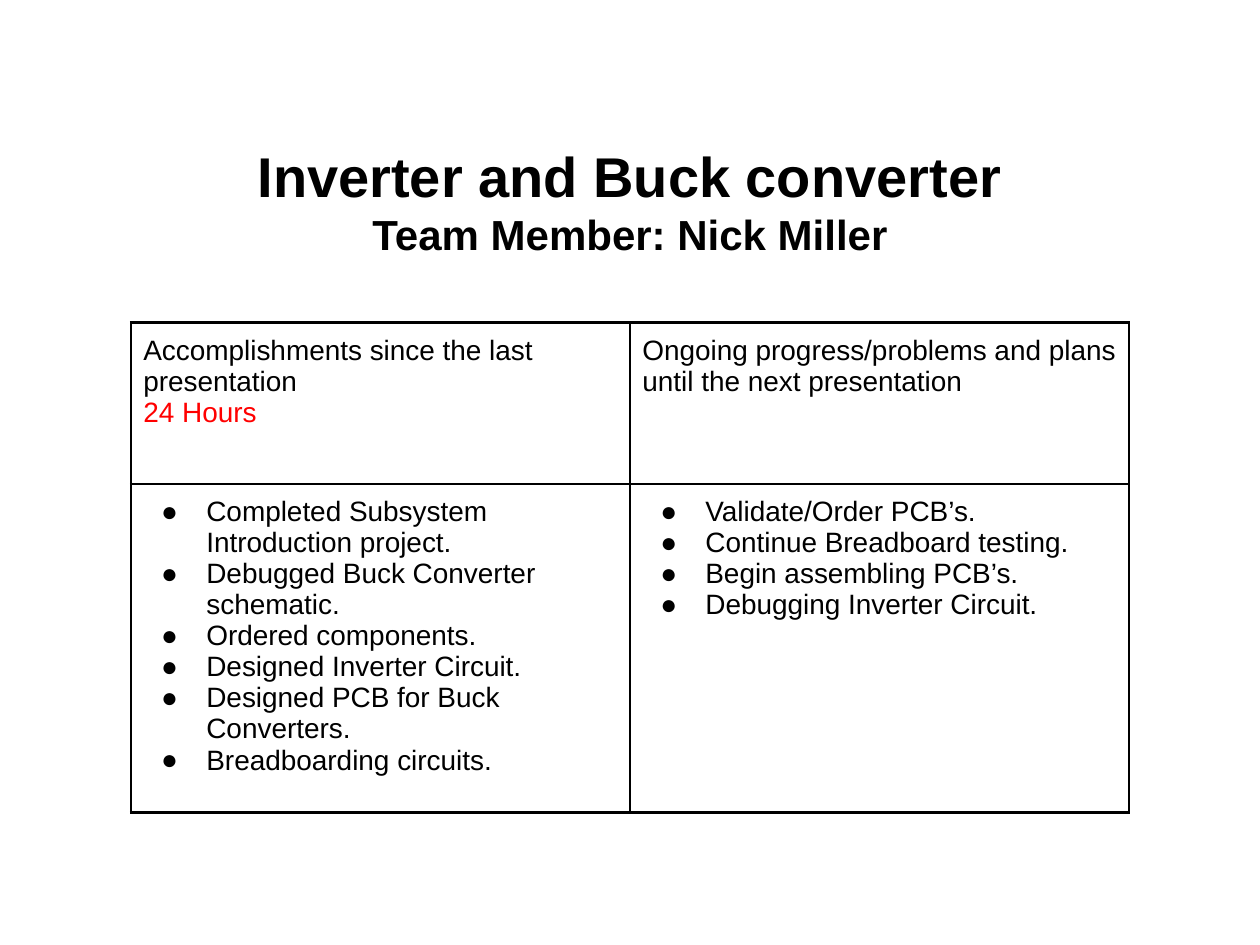
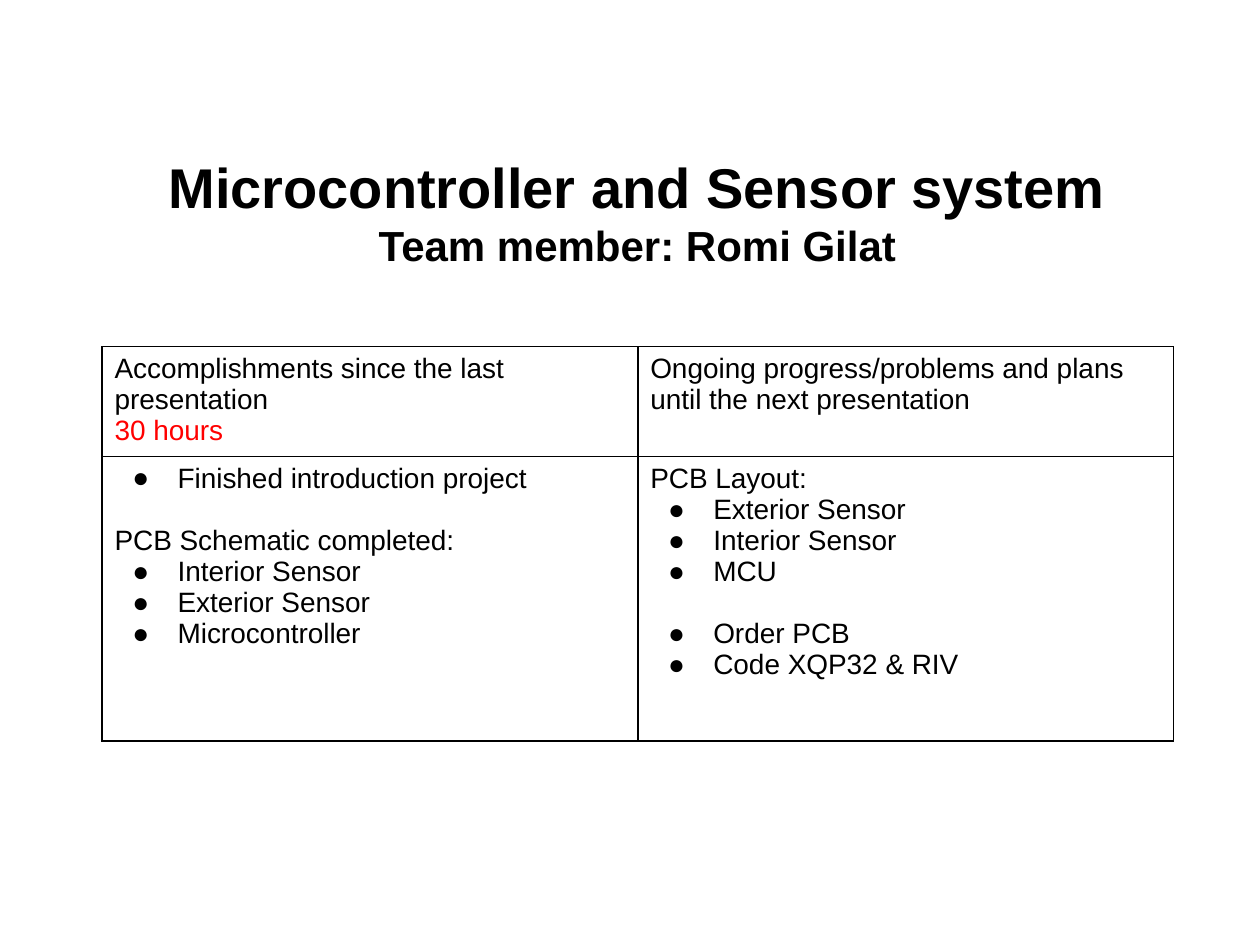
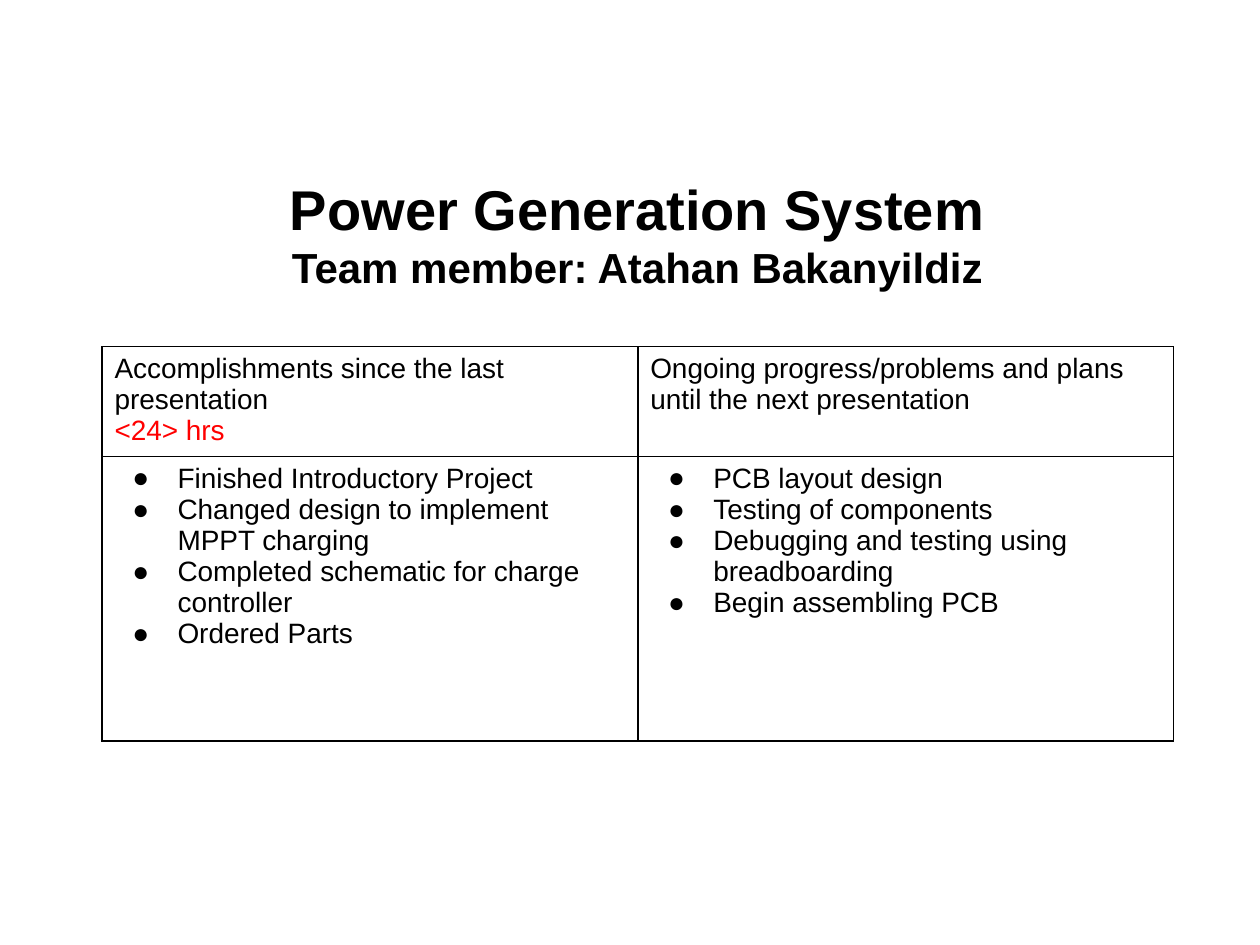
from dataclasses import dataclass

import pptx
import pptx.dml.color
import pptx.enum.text
import pptx.oxml
import pptx.oxml.ns
import pptx.presentation
import pptx.slide
import pptx.table
import pptx.text.text
import pptx.util
from pptx.dml.color import RGBColor
from pptx.util import Cm

BLACK = RGBColor(0x00, 0x00, 0x00)
RED = RGBColor(0xFF, 0x00, 0x00)
FONT = "Arial"
TITLE_SIZE, MEMBER_SIZE, CELL_SIZE = 32, 24, 16
BLANK_LINE = 17.8
TITLE_WIDTH = Cm(22.86)
TITLE_ONLY_LAYOUT = 5
LEFT_HEADING = "Accomplishments since the last presentation"
RIGHT_HEADING = "Ongoing progress/problems and plans until the next presentation"


@dataclass(frozen=True)
class Entry:
    """One paragraph of a table cell."""
    text: str
    bullet: bool = True
    gap_before: bool = False
    color: RGBColor = BLACK


@dataclass(frozen=True)
class TitleFrame:
    left: float
    top: float
    height: float


@dataclass(frozen=True)
class TableFrame:
    left: float
    top: float
    column_width: float
    row_heights: tuple[float, float]
    vertical_margin: float
    border_points: float


@dataclass(frozen=True)
class Report:
    """One team member's progress page; lengths in its frames are centimetres."""
    subsystem: str
    member: str
    hours: str
    done: list[Entry]
    planned: list[Entry]
    title_frame: TitleFrame
    table_frame: TableFrame


TALL_TABLE = TableFrame(2.64, 6.5, 10.06, (3.25, 6.63), 0.25, 1.5)
WIDE_TABLE = TableFrame(2.06, 6.99, 10.8, (2.21, 5.74), 0.13, 1)

REPORTS = [
    Report(
        "Inverter and Buck converter", "Team Member: Nick Miller", "24 Hours",
        [Entry("Completed Subsystem Introduction project."),
         Entry("Debugged Buck Converter schematic."),
         Entry("Ordered components."),
         Entry("Designed Inverter Circuit."),
         Entry("Designed PCB for Buck Converters."),
         Entry("Breadboarding circuits.")],
        [Entry("Validate/Order PCB’s."),
         Entry("Continue Breadboard testing."),
         Entry("Begin assembling PCB’s."),
         Entry("Debugging Inverter Circuit.")],
        TitleFrame(1.27, 2.92, 2.24), TALL_TABLE),
    Report(
        "Microcontroller and Sensor system", "Team member: Romi Gilat", "30 hours",
        [Entry("Finished introduction project"),
         Entry("PCB Schematic completed:", bullet=False, gap_before=True),
         Entry("Interior Sensor"),
         Entry("Exterior Sensor"),
         Entry("Microcontroller")],
        [Entry("PCB Layout:", bullet=False),
         Entry("Exterior Sensor"),
         Entry("Interior Sensor"),
         Entry("MCU"),
         Entry("Order PCB", gap_before=True),
         Entry("Code XQP32 & RIV")],
        TitleFrame(1.42, 2.39, 3.73), WIDE_TABLE),
    Report(
        "Power Generation System", "Team member: Atahan Bakanyildiz", "<24> hrs",
        [Entry("Finished Introductory Project"),
         Entry("Changed design to implement MPPT charging"),
         Entry("Completed schematic for charge controller"),
         Entry("Ordered Parts")],
        [Entry("PCB layout design"),
         Entry("Testing of components"),
         Entry("Debugging and testing using breadboarding"),
         Entry("Begin assembling PCB")],
        TitleFrame(1.42, 2.84, 3.73), WIDE_TABLE),
]


def set_font(para: pptx.text.text._Paragraph, size: float, color: RGBColor,
             bold: bool = False) -> None:
    para.font.name = FONT
    para.font.size = pptx.util.Pt(size)
    para.font.bold = bold
    para.font.color.rgb = color


def add_bullet(para: pptx.text.text._Paragraph) -> None:
    properties = para._p.get_or_add_pPr()
    properties.set("marL", str(Cm(1.27)))
    properties.set("indent", str(-Cm(0.91)))
    color = pptx.oxml.ns.qn("a:buClr")
    bullet_color = properties.makeelement(color, {})
    bullet_color.append(properties.makeelement(
        pptx.oxml.ns.qn("a:srgbClr"), {"val": str(BLACK)}))
    properties.append(bullet_color)
    for tag, name, value in (("a:buFont", "typeface", FONT), ("a:buChar", "char", "●")):
        properties.append(properties.makeelement(pptx.oxml.ns.qn(tag), {name: value}))


def draw_borders(cell: pptx.table._Cell, points: float) -> None:
    """Line all four sides; lines must come before the cell's fill."""
    properties = cell._tc.get_or_add_tcPr()
    namespace = pptx.oxml.ns.nsdecls("a")
    for index, side in enumerate(("lnL", "lnR", "lnT", "lnB")):
        properties.insert(index, pptx.oxml.parse_xml(
            f'<a:{side} {namespace} w="{pptx.util.Pt(points)}">'
            f'<a:solidFill><a:srgbClr val="{BLACK}"/></a:solidFill></a:{side}>'))


def fill_cell(cell: pptx.table._Cell, entries: list[Entry], frame: TableFrame) -> None:
    cell.fill.background()
    draw_borders(cell, frame.border_points)
    cell.margin_left = cell.margin_right = Cm(0.25)
    cell.margin_top = cell.margin_bottom = Cm(frame.vertical_margin)
    cell.text = "\n".join(entry.text for entry in entries)
    for para, entry in zip(cell.text_frame.paragraphs, entries):
        if entry.bullet:
            add_bullet(para)
        if entry.gap_before:
            para.space_before = pptx.util.Pt(BLANK_LINE)
        set_font(para, CELL_SIZE, entry.color)


def place_title(page: pptx.slide.Slide, report: Report) -> None:
    title, frame = page.shapes.title, report.title_frame
    title.left, title.top = Cm(frame.left), Cm(frame.top)
    title.width, title.height = TITLE_WIDTH, Cm(frame.height)
    text_frame = title.text_frame
    text_frame.text = f"{report.subsystem}\n{report.member}"
    text_frame.auto_size = pptx.enum.text.MSO_AUTO_SIZE.NONE
    text_frame.vertical_anchor = pptx.enum.text.MSO_ANCHOR.MIDDLE
    for para, size in zip(text_frame.paragraphs, (TITLE_SIZE, MEMBER_SIZE)):
        para.alignment = pptx.enum.text.PP_ALIGN.CENTER
        set_font(para, size, BLACK, bold=True)


def add_progress_table(page: pptx.slide.Slide, report: Report) -> None:
    frame = report.table_frame
    rows = [
        [[Entry(LEFT_HEADING, bullet=False), Entry(report.hours, bullet=False, color=RED)],
         [Entry(RIGHT_HEADING, bullet=False)]],
        [report.done, report.planned],
    ]
    table = page.shapes.add_table(
        2, 2, Cm(frame.left), Cm(frame.top),
        Cm(2 * frame.column_width), Cm(sum(frame.row_heights))).table
    table.first_row = table.horz_banding = False
    for column in table.columns:
        column.width = Cm(frame.column_width)
    for row, height, contents in zip(table.rows, frame.row_heights, rows):
        row.height = Cm(height)
        for cell, entries in zip(row.cells, contents):
            fill_cell(cell, entries, frame)


def add_report(deck: pptx.presentation.Presentation, report: Report) -> None:
    page = deck.slides.add_slide(deck.slide_layouts[TITLE_ONLY_LAYOUT])
    place_title(page, report)
    add_progress_table(page, report)


def main() -> None:
    deck = pptx.Presentation()
    deck.slide_width, deck.slide_height = Cm(25.4), Cm(19.05)
    for report in REPORTS:
        add_report(deck, report)
    deck.save("out.pptx")


if __name__ == "__main__":
    main()
